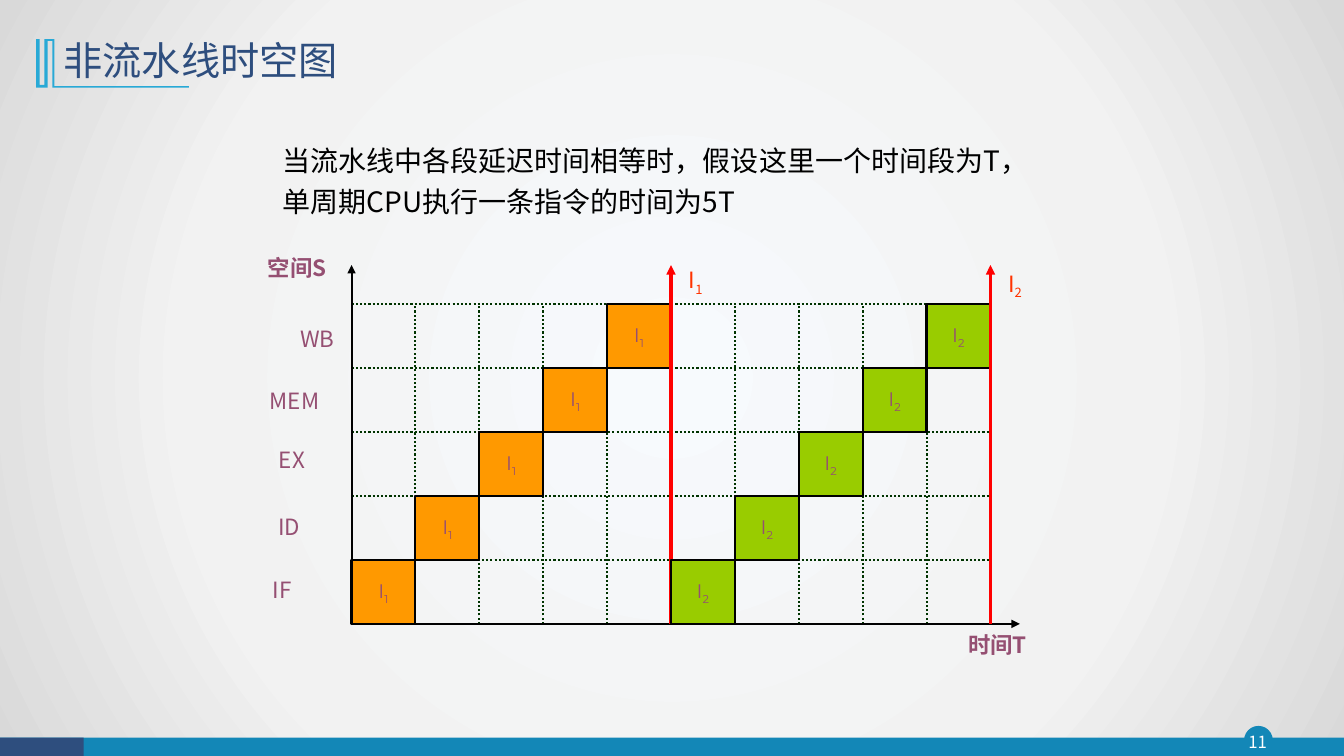
from lxml.etree import SubElement
from pptx import Presentation
from pptx.dml.color import RGBColor
from pptx.enum.dml import MSO_LINE_DASH_STYLE as DASH
from pptx.enum.shapes import MSO_CONNECTOR, MSO_SHAPE as SHAPE
from pptx.enum.text import MSO_ANCHOR as ANCHOR, MSO_AUTO_SIZE as FIT, PP_ALIGN as ALIGN
from pptx.oxml import parse_xml
from pptx.oxml.ns import nsdecls, qn
from pptx.util import Cm, Pt

BLACK = RGBColor(0x00, 0x00, 0x00)
WHITE = RGBColor(0xFF, 0xFF, 0xFF)
NAVY = RGBColor(0x2E, 0x4E, 0x7E)
BLUE = RGBColor(0x13, 0x87, 0xB7)
CYAN = RGBColor(0x28, 0xA9, 0xD6)
PURPLE = RGBColor(0x95, 0x4F, 0x72)
ORANGE = RGBColor(0xFF, 0x99, 0x00)
GREEN = RGBColor(0x99, 0xCC, 0x00)
DARK_GREEN = RGBColor(0x00, 0x33, 0x00)
RED = RGBColor(0xFF, 0x00, 0x00)
VERMILION = RGBColor(0xFF, 0x33, 0x00)
BACKGROUND_STOPS = ((0, "F7FAFD"), (63, "F2F2F2"), (100, "D9D9D9"))

SANS_JP, SANS_SC, MONTSERRAT = "Noto Sans CJK JP", "Noto Sans CJK SC", "Montserrat"
LABEL = {"name": SANS_JP, "size": Pt(16)}
AXIS_NAME = {**LABEL, "bold": True}
CELL_TEXT = {"name": MONTSERRAT, "size": Pt(14)}

# Diagram geometry in centimetres
LEFT, BOTTOM, CELL = 8.86, 15.72, 1.61
STAGES = 5
COLUMNS = 2 * STAGES
RIGHT, TOP = LEFT + COLUMNS * CELL, BOTTOM - STAGES * CELL
ARROW_TOP = 6.68

STAGE_LABELS = (("IF", 6.63, 14.4), ("ID", 6.76, 12.8), ("EX", 6.78, 11.13),
                ("MEM", 6.55, 9.63), ("WB", 7.32, 8.08))
TITLE_MARK = ((1.37, 0.99), (1.37, 2.17), (4.76, 2.17), (4.76, 2.21), (1.32, 2.21),
              (1.32, 1.03), (1.2, 1.03), (1.2, 2.21), (0.91, 2.21), (0.91, 0.99),
              (1, 0.99), (1, 2.14), (1.12, 2.14), (1.12, 0.99))


def paint_background(page):
    stops = "".join(f'<a:gs pos="{percent * 1000}"><a:srgbClr val="{color}"/></a:gs>'
                    for percent, color in BACKGROUND_STOPS)
    page.background.fill.solid()
    solid = page.background._cSld.find(".//" + qn("a:solidFill"))
    solid.getparent().replace(solid, parse_xml(
        f'<a:gradFill {nsdecls("a")} rotWithShape="1"><a:gsLst>{stops}</a:gsLst>'
        '<a:path path="circle"><a:fillToRect l="50000" t="50000" r="50000" b="50000"/>'
        '</a:path></a:gradFill>'))


def place(box, left, top, width, height):
    box.left, box.top, box.width, box.height = map(Cm, (left, top, width, height))


def add_span(para, text, color, font_format, east_asian=None):
    span = para.add_run()
    span.text = text
    for name, value in font_format.items():
        setattr(span.font, name, value)
    span.font.color.rgb = color
    properties = span.font._element
    SubElement(properties, qn("a:ea")).set("typeface", east_asian or font_format["name"])
    return span


def write(box, text, color, font_format, subscript="", align=ALIGN.LEFT):
    para = box.text_frame.paragraphs[0]
    para.alignment = align
    add_span(para, text, color, font_format)
    if subscript:
        small = add_span(para, subscript, color, font_format)
        small.font._element.set("baseline", "-25000")


def add_label(page, position, text, color, font_format, **layout):
    box = page.shapes.add_textbox(*map(Cm, position))
    box.text_frame.word_wrap = True
    write(box, text, color, font_format, **layout)
    return box


def add_box(page, position, fill, line=None, width=1.5, kind=SHAPE.RECTANGLE):
    box = page.shapes.add_shape(kind, *map(Cm, position))
    box.shadow.inherit = False
    box.fill.solid()
    box.fill.fore_color.rgb = fill
    if line is None:
        box.line.fill.background()
    else:
        box.line.color.rgb = line
        box.line.width = Pt(width)
    return box


def add_line(page, start, end, color, width=1.5, arrow=False, dash=None):
    line = page.shapes.add_connector(MSO_CONNECTOR.STRAIGHT, *map(Cm, start + end))
    line.line.color.rgb = color
    line.line.width = Pt(width)
    if dash:
        line.line.dash_style = dash
    if arrow:
        SubElement(line.line._get_or_add_ln(), qn("a:tailEnd")).set("type", "triangle")
    SubElement(line._element.spPr, qn("a:effectLst"))


def add_title_mark(page):
    corners = [(Cm(x), Cm(y)) for x, y in TITLE_MARK]
    builder = page.shapes.build_freeform(*corners[0])
    builder.add_line_segments(corners[1:], close=True)
    mark = builder.convert_to_shape()
    mark.shadow.inherit = False
    mark.fill.solid()
    mark.fill.fore_color.rgb = CYAN
    mark.line.fill.background()


def add_footer(page):
    add_box(page, (31.37, 18.31, 0.69, 0.69), BLUE, BLUE, 1, SHAPE.OVAL)
    add_box(page, (0, 18.59, 33.87, 0.46), BLUE)
    add_box(page, (0, 18.59, 2.11, 0.46), NAVY)
    number = add_label(page, (31.29, 18.31, 0.81, 0.79), "11", WHITE,
                       {"name": SANS_SC, "size": Pt(12)}, align=ALIGN.CENTER)
    frame = number.text_frame
    frame.vertical_anchor = ANCHOR.MIDDLE
    for side in ("left", "top", "right", "bottom"):
        setattr(frame, f"margin_{side}", 0)


def fill_placeholders(page):
    title, body = page.shapes.title, page.placeholders[1]
    place(title, 1.35, 0.71, 29.21, 1.73)
    title.text_frame.vertical_anchor = ANCHOR.MIDDLE
    para = title.text_frame.paragraphs[0]
    para.alignment, para.line_spacing = ALIGN.LEFT, 0.9
    add_span(para, "非流水线时空图", NAVY, {"name": MONTSERRAT, "size": Pt(28)}, SANS_SC)

    place(body, 6.86, 3.33, 19.35, 14)
    body.text_frame.auto_size = FIT.NONE
    write(body, "当流水线中各段延迟时间相等时，假设这里一个时间段为T，单周期CPU执行一条指令的时间为5T",
          BLACK, {"name": SANS_JP, "size": Pt(20)})
    para = body.text_frame.paragraphs[0]
    para.line_spacing, para.space_before = 1.2, Pt(10)
    properties = para._p.get_or_add_pPr()
    properties.set("marL", "0")
    properties.set("indent", "0")
    SubElement(properties, qn("a:buNone"))


def add_grid(page):
    for row in range(1, STAGES + 1):
        y = BOTTOM - row * CELL
        add_line(page, (LEFT, y), (RIGHT, y), DARK_GREEN, dash=DASH.ROUND_DOT)
    for column in range(1, COLUMNS):
        x = LEFT + column * CELL
        add_line(page, (x, BOTTOM), (x, TOP), DARK_GREEN, dash=DASH.ROUND_DOT)
    add_line(page, (LEFT, BOTTOM), (25.7, BOTTOM), BLACK, arrow=True)
    add_line(page, (LEFT, BOTTOM), (LEFT, ARROW_TOP), BLACK, arrow=True)


def add_instruction(page, index, fill, label_position):
    """Draw one instruction's staircase and the red arrow at its end."""
    first_column = (index - 1) * STAGES
    for stage in range(STAGES):
        x = LEFT + (first_column + stage) * CELL
        y = BOTTOM - (stage + 1) * CELL
        box = add_box(page, (x, y, CELL, CELL), fill, BLACK)
        box.text_frame.word_wrap = False
        box.text_frame.vertical_anchor = ANCHOR.MIDDLE
        write(box, "I", PURPLE, CELL_TEXT, str(index), ALIGN.CENTER)
    end = LEFT + index * STAGES * CELL
    add_line(page, (end, BOTTOM), (end, ARROW_TOP), RED, 2.25, arrow=True)
    add_label(page, label_position + (1.98, 0.94), "I", VERMILION, LABEL,
              subscript=str(index), align=ALIGN.CENTER)


def main():
    deck = Presentation()
    deck.slide_width, deck.slide_height = Cm(33.87), Cm(19.05)
    page = deck.slides.add_slide(deck.slide_layouts[1])
    paint_background(page)
    add_footer(page)
    add_title_mark(page)
    fill_placeholders(page)
    add_grid(page)
    add_instruction(page, 1, ORANGE, (16.54, 6.58))
    add_instruction(page, 2, GREEN, (24.59, 6.68))
    for name, left, top in STAGE_LABELS:
        add_label(page, (left, top, 2.2, 0.94), name, PURPLE, LABEL)
    add_label(page, (6.5, 6.27, 2.34, 0.94), "空间S", PURPLE, AXIS_NAME)
    add_label(page, (23.88, 15.77, 2.51, 0.94), "时间T", PURPLE, AXIS_NAME, align=ALIGN.CENTER)
    deck.save("out.pptx")


if __name__ == "__main__":
    main()
